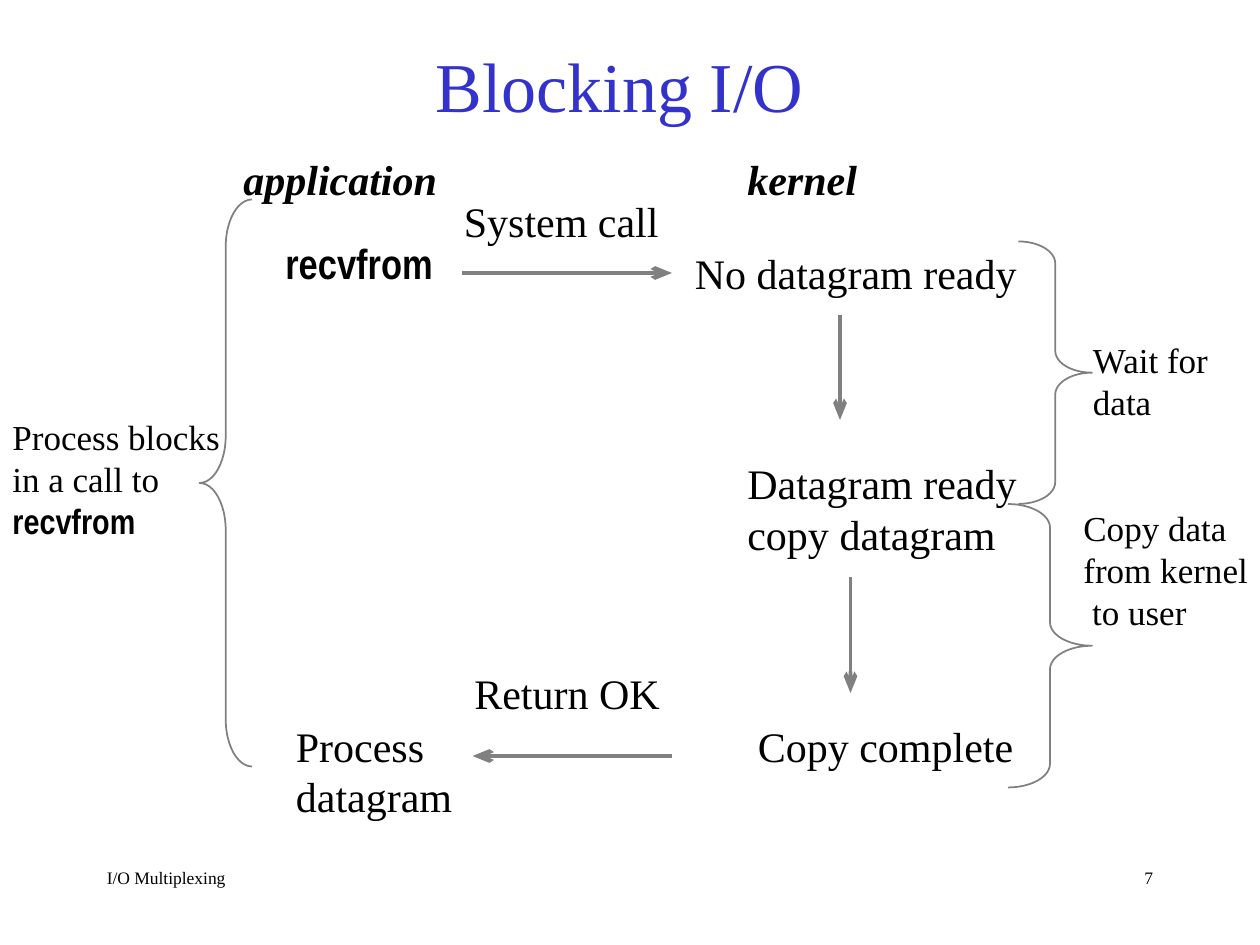
from dataclasses import dataclass

from lxml import etree
from pptx import Presentation
from pptx.dml.color import RGBColor
from pptx.enum.shapes import MSO_CONNECTOR, MSO_SHAPE
from pptx.enum.text import MSO_ANCHOR, MSO_AUTO_SIZE, PP_ALIGN
from pptx.oxml.ns import qn
from pptx.util import Pt

STRAIGHT = MSO_CONNECTOR.STRAIGHT
LEFT_BRACE, RIGHT_BRACE = MSO_SHAPE.LEFT_BRACE, MSO_SHAPE.RIGHT_BRACE
LEFT, CENTER, RIGHT = PP_ALIGN.LEFT, PP_ALIGN.CENTER, PP_ALIGN.RIGHT
MIDDLE = MSO_ANCHOR.MIDDLE
NO_FIT = MSO_AUTO_SIZE.NONE


@dataclass(frozen=True)
class Theme:
    serif: str = "Times New Roman"
    code: str = "Arial Narrow"
    text: RGBColor = RGBColor(0x00, 0x00, 0x00)
    title: RGBColor = RGBColor(0x33, 0x33, 0xCC)
    line: RGBColor = RGBColor(0x80, 0x80, 0x80)
    title_size: int = 40
    step_size: int = 24
    note_size: int = 20
    footer_size: int = 10
    arrow_width: float = 2.25
    brace_width: float = 1


THEME = Theme()
LINE_HEIGHT = 1.2
INSET_Y = 3.6
CODE_WORDS = {"recvfrom"}

TITLE = ("Blocking I/O", (48, 24, 612, 48))
FOOTER_TOP, FOOTER_WIDTH, FOOTER_HEIGHT = 492, 150, 36
FOOTERS = [("I/O Multiplexing", 54, LEFT), ("7", 516, RIGHT)]

# lines, left, top, width
HEADINGS = [
    (["application"], 132, 84, 124.5),
    (["kernel"], 420, 84, 77),
]
STEPS = [
    (["recvfrom"], 156, 132, 98.5),
    (["System call"], 258, 108, 125.5),
    (["No datagram ready"], 390, 138, 198),
    (["Datagram ready", "copy datagram"], 420, 258, 168.5),
    (["Copy complete"], 426, 408, 160),
    (["Return OK"], 264, 378, 120),
    (["Process", "datagram"], 162, 408, 103.5),
]
NOTES = [
    (["Process blocks", "in a call to", "recvfrom"], 0, 234, 137.5),
    (["Wait for", "data"], 617.5, 190, 86.5),
    (["Copy data", "from kernel", " to user"], 612, 286, 108),
]
# start x, start y, end x, end y
ARROWS = [
    (264, 156, 384, 156),
    (480, 180, 480, 240),
    (486, 330, 486, 396),
    (384, 432, 270, 432),
]
# preset, left, top, width, height
BRACES = [
    (LEFT_BRACE, 114, 114, 30, 324),
    (RIGHT_BRACE, 582, 138, 42, 150),
    (RIGHT_BRACE, 576, 288, 48, 162),
]


def pts(*values):
    return [Pt(v) for v in values]


def style(p, size, color=THEME.text, align=LEFT, emphasis=False):
    is_code = p.text in CODE_WORDS
    p.alignment = align
    p.font.name = THEME.code if is_code else THEME.serif
    p.font.size = Pt(size)
    p.font.color.rgb = color
    p.font.bold = emphasis or is_code
    p.font.italic = emphasis


def add_label(slide, lines, left, top, width, size, emphasis=False):
    height = len(lines) * size * LINE_HEIGHT + 2 * INSET_Y
    tf = slide.shapes.add_textbox(*pts(left, top, width, height)).text_frame
    tf.word_wrap = True
    tf.auto_size = NO_FIT
    tf.margin_right = 0  # spare room, so that no line breaks
    tf.text = "\n".join(lines)
    for p in tf.paragraphs:
        style(p, size, emphasis=emphasis)


def add_footer(slide, text, left, align):
    box = slide.shapes.add_textbox(
        *pts(left, FOOTER_TOP, FOOTER_WIDTH, FOOTER_HEIGHT))
    tf = box.text_frame
    tf.word_wrap = True
    tf.text = text
    style(tf.paragraphs[0], THEME.footer_size, align=align)


def add_arrow(slide, ends):
    arrow = slide.shapes.add_connector(STRAIGHT, *pts(*ends))
    arrow.line.color.rgb = THEME.line
    arrow.line.width = Pt(THEME.arrow_width)
    etree.SubElement(arrow.line._get_or_add_ln(), qn("a:tailEnd"),
                     type="arrow", len="lg")
    etree.SubElement(arrow._element.spPr, qn("a:effectLst"))


def add_brace(slide, preset, left, top, width, height):
    brace = slide.shapes.add_shape(preset, *pts(left, top, width, height))
    brace.adjustments[0] = height / 12 / width  # each curve is a twelfth high
    brace.shadow.inherit = False
    brace.fill.background()
    brace.line.color.rgb = THEME.line
    brace.line.width = Pt(THEME.brace_width)


def set_title(slide, text, box):
    title = slide.shapes.title
    title.left, title.top, title.width, title.height = pts(*box)
    tf = title.text_frame
    tf.text = text
    tf.vertical_anchor = MIDDLE
    tf.auto_size = NO_FIT
    style(tf.paragraphs[0], THEME.title_size, THEME.title, CENTER)


def main():
    prs = Presentation()
    prs.slide_width, prs.slide_height = pts(720, 540)
    slide = prs.slides.add_slide(prs.slide_layouts[5])
    set_title(slide, *TITLE)
    for footer in FOOTERS:
        add_footer(slide, *footer)
    for brace in BRACES:
        add_brace(slide, *brace)
    for ends in ARROWS:
        add_arrow(slide, ends)
    for heading in HEADINGS:
        add_label(slide, *heading, THEME.step_size, emphasis=True)
    for step in STEPS:
        add_label(slide, *step, THEME.step_size)
    for note in NOTES:
        add_label(slide, *note, THEME.note_size)
    prs.save("out.pptx")


if __name__ == "__main__":
    main()
